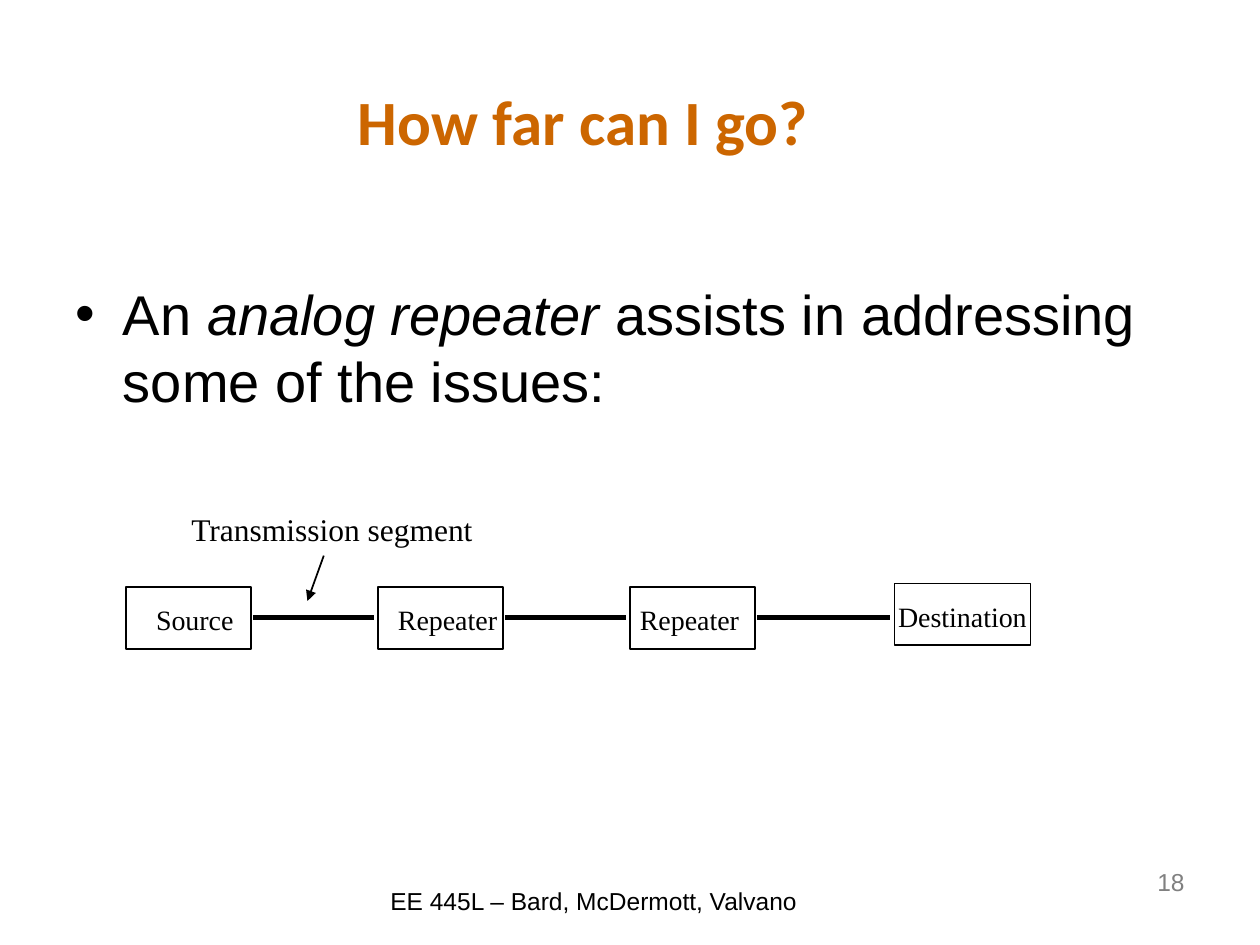
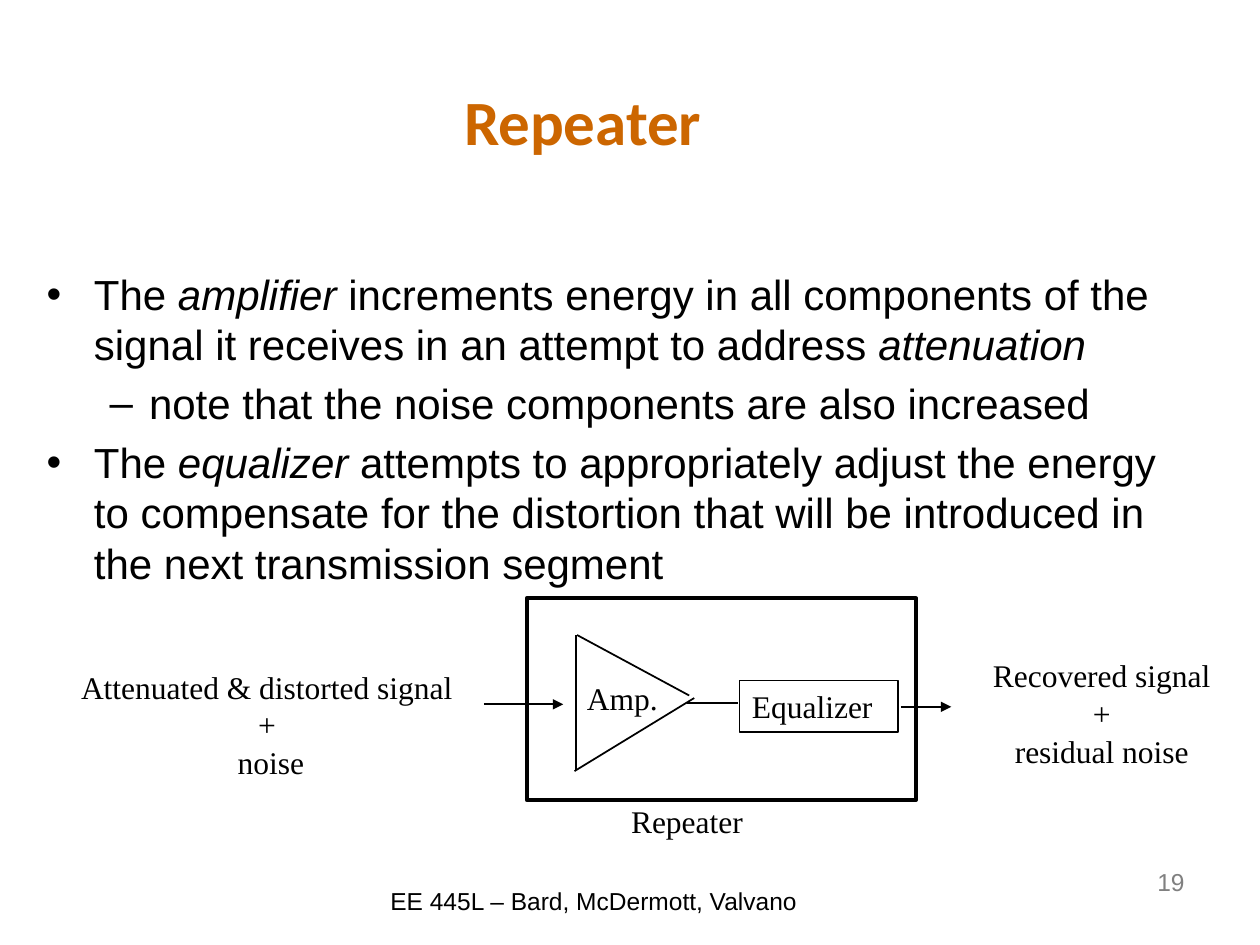
import pptx
import pptx.util
import pptx.dml.color
import pptx.enum.shapes
import pptx.enum.text
import pptx.oxml.ns
import lxml.etree

COLORS = {"title": "CC6600", "ink": "000000", "number": "808080"}
HEADING, SANS, SERIF = "Calibri", "Arial", "Times New Roman"
ALIGN = pptx.enum.text.PP_ALIGN
ANCHOR = pptx.enum.text.MSO_ANCHOR
FIT = pptx.enum.text.MSO_AUTO_SIZE
RECT = pptx.enum.shapes.MSO_SHAPE.RECTANGLE
STRAIGHT = pptx.enum.shapes.MSO_CONNECTOR.STRAIGHT

# The slide is a grid of 100 columns by 75 rows of square cells.
WIDTH, HEIGHT = pptx.util.Inches(10), pptx.util.Inches(7.5)
CELL = WIDTH // 100


def grid(*cells):
    """Turn columns and rows into lengths."""
    return [pptx.util.Emu(round(c * CELL)) for c in cells]


def color(name):
    """Look up a colour of the deck."""
    return pptx.dml.color.RGBColor.from_string(COLORS[name])


def write(tf, lines, font, size, ink="ink", align=None, bold=None):
    """Fill a text frame; a line is text or (text, level), with *italics*."""
    for i, line in enumerate(lines):
        text, level = line if isinstance(line, tuple) else (line, 0)
        p = tf.paragraphs[0] if i == 0 else tf.add_paragraph()
        p.level = level
        p.alignment = align
        p.font.name, p.font.size, p.font.bold = font, pptx.util.Pt(size), bold
        p.font.color.rgb = color(ink)
        for j, part in enumerate(text.split("*")):
            if part:
                r = p.add_run()
                r.text = part
                if j % 2:
                    r.font.italic = True


def place(sp, at):
    """Move a placeholder to its cells and keep its text size fixed."""
    sp.left, sp.top, sp.width, sp.height = grid(*at)
    sp.text_frame.auto_size = FIT.NONE


def label(shapes, at, lines, font=SERIF, size=18, wrap=False, **style):
    """Add a text box."""
    tf = shapes.add_textbox(*grid(*at)).text_frame
    tf.word_wrap = wrap
    write(tf, lines, font, size, **style)


def box(shapes, at, weight=1):
    """Add an outlined rectangle without fill."""
    sp = shapes.add_shape(RECT, *grid(*at))
    sp.shadow.inherit = False
    sp.fill.background()
    sp.line.color.rgb = color("ink")
    sp.line.width = pptx.util.Pt(weight)
    return sp


def line(shapes, start, end, weight=1, arrow=False):
    """Add a straight line, with an arrowhead at its end if asked."""
    c = shapes.add_connector(STRAIGHT, *grid(*start, *end))
    c.line.color.rgb = color("ink")
    c.line.width = pptx.util.Pt(weight)
    qn = pptx.oxml.ns.qn
    if arrow:
        ln = c.line._get_or_add_ln()
        lxml.etree.SubElement(ln, qn("a:tailEnd"), type="triangle")
    lxml.etree.SubElement(c._element.spPr, qn("a:effectLst"))


def new_slide(prs, number, title, body_at, body, size):
    """Add a slide with title, list, slide number and footer."""
    s = prs.slides.add_slide(prs.slide_layouts[1])
    heading, content = s.placeholders[0], s.placeholders[1]
    place(heading, (0, 3.3, 92.5, 12.5))
    heading.text_frame.vertical_anchor = ANCHOR.MIDDLE
    write(heading.text_frame, [title], HEADING, 36, "title", ALIGN.CENTER, True)
    place(content, body_at)
    write(content.text_frame, body, SANS, size)
    label(s.shapes, (71.7, 68.3, 23.3, 5.2), [str(number)], SANS, 14,
          wrap=True, ink="number", align=ALIGN.RIGHT)
    label(s.shapes, (30, 69.8, 43.3, 4.4),
          ["EE 445L – Bard, McDermott, Valvano "], SANS, 14, wrap=True)
    return s


def transmission_chain(shapes):
    """Draw the source, two repeaters and the destination in a row."""
    for left in (10, 30, 50):
        box(shapes, (left, 46.6, 9.9, 4.9))
    box(shapes, (71, 46.3, 10.8, 4.9))
    for start, end in ((20.1, 29.7), (40.1, 49.7), (60.1, 70.6)):
        line(shapes, (start, 49), (end, 49), weight=3)
    for left, top, width, text in ((11.4, 47.3, 8.7, "Source "),
                                   (30.6, 47.3, 9.9, "Repeater"),
                                   (49.8, 47.3, 9.9, "Repeater"),
                                   (70.3, 47.1, 12.3, "Destination")):
        label(shapes, (left, top, width, 3.6), [text], size=16)
    line(shapes, (25.7, 44.1), (24.4, 47.7), arrow=True)
    label(shapes, (14.2, 40, 24.4, 4), ["Transmission segment"])


def repeater_diagram(shapes):
    """Draw the amplifier and equalizer inside the repeater."""
    label(shapes, (4.5, 52.5, 34, 10),
          ["Attenuated & distorted signal ", "+ ", "noise"],
          wrap=True, align=ALIGN.CENTER)
    label(shapes, (77.8, 51.6, 19.3, 10),
          ["Recovered signal", "+", "residual noise"], align=ALIGN.CENTER)
    line(shapes, (38.4, 55.9), (44.7, 55.9), arrow=True)
    line(shapes, (71.5, 56.1), (75.5, 56.1), arrow=True)
    line(shapes, (54.5, 55.8), (58.6, 55.8))

    line(shapes, (45.7, 50.4), (45.7, 61.1))
    line(shapes, (45.8, 50.4), (54.7, 55.2))
    line(shapes, (55.1, 55.4), (45.6, 61.2))
    label(shapes, (45.6, 53.4, 9, 4), ["Amp."], wrap=True)

    tf = box(shapes, (58.7, 54, 12.6, 4.1)).text_frame
    tf.word_wrap = True
    tf.vertical_anchor = ANCHOR.TOP
    write(tf, ["Equalizer"], SERIF, 18, align=ALIGN.LEFT)
    box(shapes, (41.8, 47.5, 30.9, 16), weight=2.25)
    label(shapes, (49.1, 63.2, 10.9, 4), ["Repeater"])


def main():
    """Build both slides and save them."""
    prs = pptx.Presentation()
    prs.slide_width, prs.slide_height = WIDTH, HEIGHT

    s = new_slide(
        prs, 18, "How far can I go?", (5, 21.7, 90, 37.8),
        ["An *analog repeater* assists in addressing some of the issues:"], 32)
    transmission_chain(s.shapes.add_group_shape().shapes)

    s = new_slide(
        prs, 19, "Repeater", (2.7, 20.8, 93.3, 42.7),
        ["The *amplifier* increments energy in all components of the signal "
         "it receives in an attempt to address *attenuation*",
         ("note that the noise components are also increased", 1),
         "The *equalizer* attempts to appropriately adjust the energy to "
         "compensate for the distortion that will be introduced in the next "
         "transmission segment"], 24)
    repeater_diagram(s.shapes.add_group_shape().shapes)

    prs.save("out.pptx")


main()
